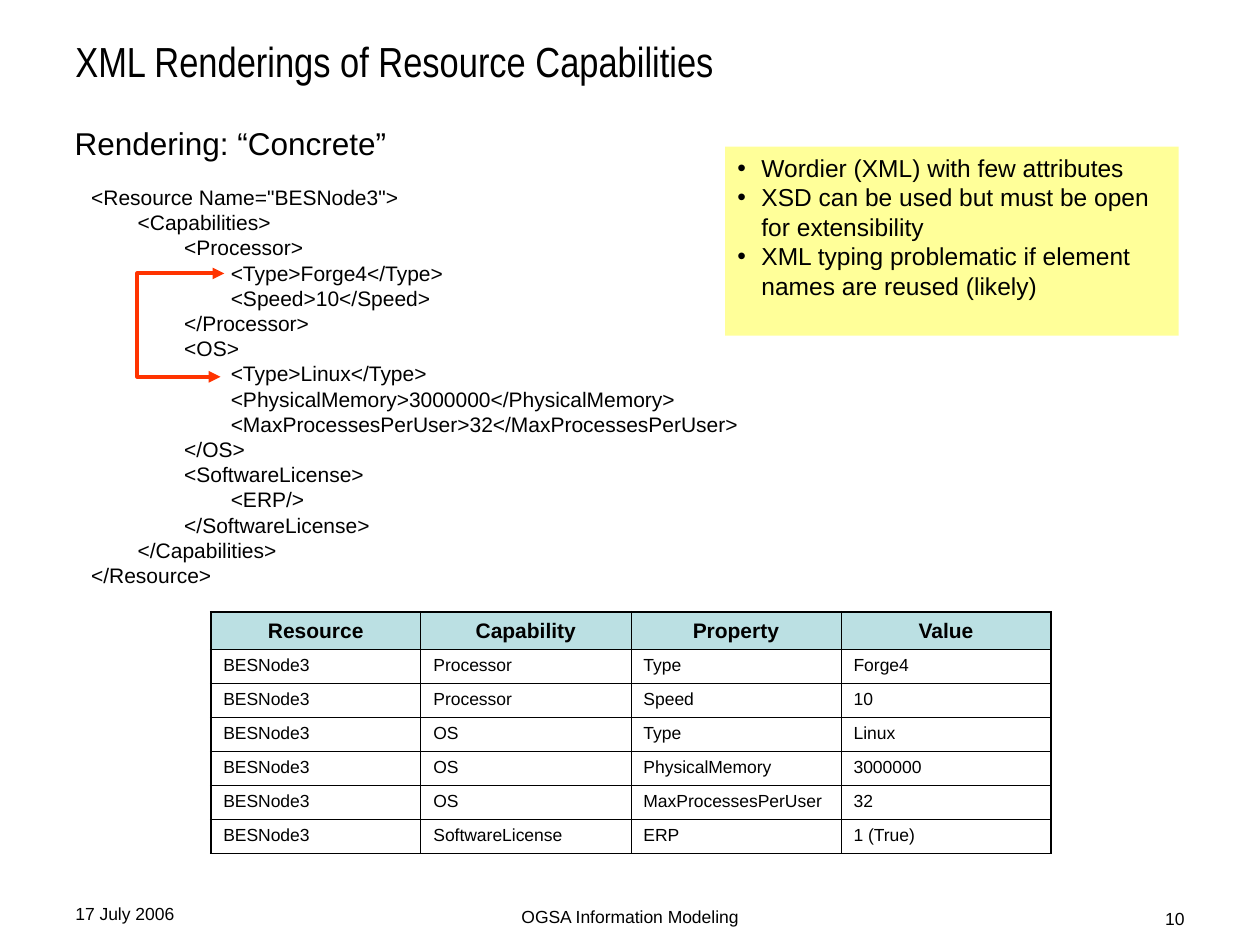
from dataclasses import dataclass

import pptx
import pptx.dml.color
import pptx.enum.shapes
import pptx.enum.text
import pptx.oxml
import pptx.oxml.ns
import pptx.util

COLUMNS, ROWS = 40, 30
SLIDE_WIDTH, SLIDE_HEIGHT = pptx.util.Inches(10), pptx.util.Inches(7.5)
BLACK, ARROW_RED, NOTE_YELLOW, HEADER_BLUE = "000000", "FF3300", "FFFF99", "BBE0E3"
THIN, THICK = 0.45, 1.08
INDENT = " " * 8
LEFT, CENTER, RIGHT = (
    pptx.enum.text.PP_ALIGN.LEFT,
    pptx.enum.text.PP_ALIGN.CENTER,
    pptx.enum.text.PP_ALIGN.RIGHT,
)
TOP, MIDDLE = pptx.enum.text.MSO_ANCHOR.TOP, pptx.enum.text.MSO_ANCHOR.MIDDLE


@dataclass(frozen=True)
class Area:
    column: float
    row: float
    columns: float
    rows: float

    def box(self) -> tuple[int, int, int, int]:
        return across(self.column), down(self.row), across(self.columns), down(self.rows)


@dataclass(frozen=True)
class TextBlock:
    area: Area
    lines: tuple[str, ...]
    size: float
    family: str = "Arial"
    align: int = LEFT
    anchor: int = TOP
    wrap: bool = True


CODE_LINES = (
    (0, '<Resource Name="BESNode3">'),
    (1, "<Capabilities>"),
    (2, "<Processor>"),
    (3, "<Type>Forge4</Type>"),
    (3, "<Speed>10</Speed>"),
    (2, "</Processor>"),
    (2, "<OS>"),
    (3, "<Type>Linux</Type>"),
    (3, "<PhysicalMemory>3000000</PhysicalMemory>"),
    (3, "<MaxProcessesPerUser>32</MaxProcessesPerUser>"),
    (2, "</OS>"),
    (2, "<SoftwareLicense>"),
    (3, "<ERP/>"),
    (2, "</SoftwareLicense>"),
    (1, "</Capabilities>"),
    (0, "</Resource>"),
)
TEXT_BLOCKS = (
    TextBlock(Area(2.5, 5.66, 27.4, 13.2), tuple(INDENT * depth + code for depth, code in CODE_LINES), 12),
    TextBlock(Area(1.98, 3.74, 10.68, 1.6), ("Rendering: “Concrete”",), 18, wrap=False),
    TextBlock(Area(2, 1.2, 36, 1.48), ("XML Renderings of Resource Capabilities",), 24, "Arial Narrow", anchor=MIDDLE),
    TextBlock(Area(13.66, 28.58, 12.68, 0.84), ("OGSA Information Modeling",), 10, align=CENTER),
    TextBlock(Area(28.68, 28.64, 9.32, 0.76), ("10",), 10, align=RIGHT),
    TextBlock(Area(2, 28.48, 9.32, 0.92), ("17 July 2006",), 10),
)
ADVICE = TextBlock(
    Area(23.02, 4.66, 14.4, 6),
    (
        "Wordier (XML) with few attributes",
        "XSD can be used but must be open for extensibility",
        "XML typing problematic if element names are reused (likely)",
    ),
    14,
)
TYPE_LINK = ((7.12, 8.68), (4.36, 8.68), (4.36, 11.96), (7, 11.96))
PROPERTY_AREA = Area(6.69, 19.42, 26.68, 7.68)
HEADER_ROWS, BODY_ROWS = 1.2, 1.08
HEADINGS = ("Resource", "Capability", "Property", "Value")
PROPERTIES = (
    ("Processor", "Type", "Forge4"),
    ("Processor", "Speed", "10"),
    ("OS", "Type", "Linux"),
    ("OS", "PhysicalMemory", "3000000"),
    ("OS", "MaxProcessesPerUser", "32"),
    ("SoftwareLicense", "ERP", "1 (True)"),
)


def across(columns: float) -> int:
    return round(SLIDE_WIDTH * columns / COLUMNS)


def down(rows: float) -> int:
    return round(SLIDE_HEIGHT * rows / ROWS)


def color(value: str) -> pptx.dml.color.RGBColor:
    return pptx.dml.color.RGBColor.from_string(value)


def apply(target, formats: dict) -> None:
    for attribute, value in formats.items():
        setattr(target, attribute, value)


def xml(markup: str):
    return pptx.oxml.parse_xml(markup.replace(" ", f" {pptx.oxml.ns.nsdecls('a')} ", 1))


def style_paragraph(paragraph, size: float, family: str = "Arial", align: int = LEFT, bold: bool = False) -> None:
    paragraph.alignment = align
    apply(paragraph.font, {"size": pptx.util.Pt(size), "name": family, "bold": bold})
    paragraph.font.color.rgb = color(BLACK)


def add_bullet(paragraph) -> None:
    properties = paragraph._p.get_or_add_pPr()
    hang = pptx.util.Inches(0.19)
    properties.set("marL", str(hang))
    properties.set("indent", str(-hang))
    for markup in (
        f'<a:buClr ><a:srgbClr val="{BLACK}"/></a:buClr>',
        '<a:buFont typeface="Arial"/>',
        '<a:buChar char="•"/>',
    ):
        properties.append(xml(markup))


def write_lines(frame, block: TextBlock, bulleted: bool = False) -> None:
    apply(frame, {"word_wrap": block.wrap, "vertical_anchor": block.anchor})
    for index, line in enumerate(block.lines):
        paragraph = frame.add_paragraph() if index else frame.paragraphs[0]
        paragraph.text = line
        if bulleted:
            add_bullet(paragraph)
        style_paragraph(paragraph, block.size, block.family, block.align)


def draw_text(slide, block: TextBlock) -> None:
    write_lines(slide.shapes.add_textbox(*block.area.box()).text_frame, block)


def draw_advice(slide, block: TextBlock) -> None:
    panel = slide.shapes.add_shape(pptx.enum.shapes.MSO_SHAPE.RECTANGLE, *block.area.box())
    panel.shadow.inherit = False
    panel.fill.solid()
    panel.fill.fore_color.rgb = color(NOTE_YELLOW)
    panel.line.fill.background()
    write_lines(panel.text_frame, block, bulleted=True)


def draw_link(slide, corners: tuple[tuple[float, float], ...]) -> None:
    start, *others = [(across(column), down(row)) for column, row in corners]
    builder = slide.shapes.build_freeform(*start)
    builder.add_line_segments(others, close=False)
    link = builder.convert_to_shape()
    link.shadow.inherit = False
    link.fill.background()
    link.line.width = pptx.util.Pt(2.25)
    link.line.color.rgb = color(ARROW_RED)
    for end in ("headEnd", "tailEnd"):
        link.line._get_or_add_ln().append(xml(f'<a:{end} type="triangle"/>'))


def draw_borders(cell, widths: dict[str, float]) -> None:
    for side, width in widths.items():
        cell._tc.get_or_add_tcPr().append(xml(
            f'<a:ln{side} w="{pptx.util.Pt(width)}"><a:solidFill>'
            f'<a:srgbClr val="{BLACK}"/></a:solidFill></a:ln{side}>'
        ))


def draw_properties(slide) -> None:
    records = [HEADINGS] + [("BESNode3", *values) for values in PROPERTIES]
    last_row, last_column = len(records) - 1, len(HEADINGS) - 1
    grid = slide.shapes.add_table(len(records), len(HEADINGS), *PROPERTY_AREA.box()).table
    apply(grid, {"first_row": False, "horz_banding": False})
    for column in grid.columns:
        column.width = across(PROPERTY_AREA.columns / len(HEADINGS))
    for row, record in enumerate(records):
        heading = row == 0
        grid.rows[row].height = down(HEADER_ROWS if heading else BODY_ROWS)
        for column, value in enumerate(record):
            cell = grid.cell(row, column)
            outer = {"L": column == 0, "R": column == last_column, "T": heading, "B": row == last_row}
            draw_borders(cell, {side: THICK if edge else THIN for side, edge in outer.items()})
            apply(cell, {"text": value, "vertical_anchor": MIDDLE if heading else TOP})
            if heading:
                cell.fill.solid()
                cell.fill.fore_color.rgb = color(HEADER_BLUE)
            else:
                cell.fill.background()
            style_paragraph(
                cell.text_frame.paragraphs[0], 12 if heading else 10,
                align=CENTER if heading else LEFT, bold=heading,
            )


def main() -> None:
    deck = pptx.Presentation()
    apply(deck, {"slide_width": SLIDE_WIDTH, "slide_height": SLIDE_HEIGHT})
    slide = deck.slides.add_slide(deck.slide_layouts[6])
    for block in TEXT_BLOCKS:
        draw_text(slide, block)
    draw_link(slide, TYPE_LINK)
    draw_properties(slide)
    draw_advice(slide, ADVICE)
    deck.save("out.pptx")


if __name__ == "__main__":
    main()
